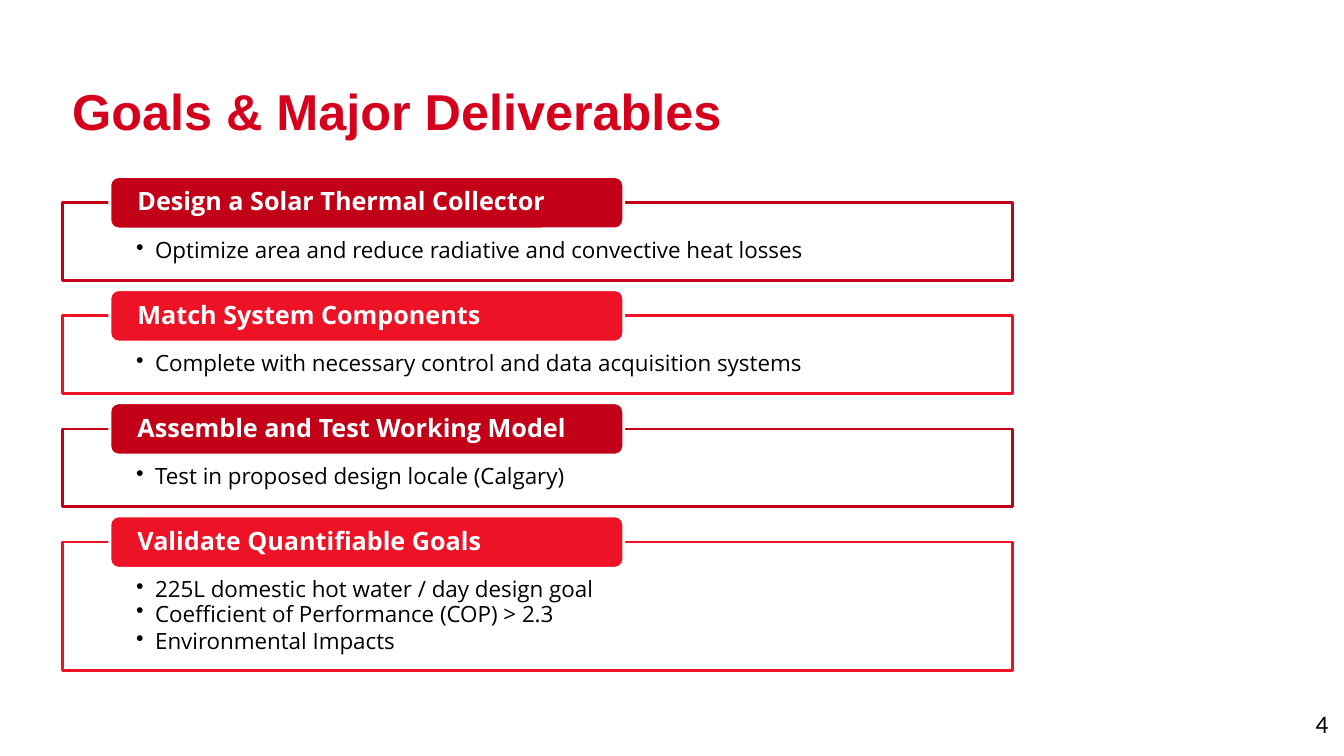
from dataclasses import dataclass

from lxml import etree
from pptx import Presentation
from pptx.dml.color import RGBColor
from pptx.enum.shapes import MSO_SHAPE
from pptx.enum.text import MSO_ANCHOR, MSO_AUTO_SIZE, PP_ALIGN
from pptx.oxml.ns import qn
from pptx.util import Cm, Pt

RECTANGLE = MSO_SHAPE.RECTANGLE
ROUNDED = MSO_SHAPE.ROUNDED_RECTANGLE
TOP, MIDDLE = MSO_ANCHOR.TOP, MSO_ANCHOR.MIDDLE
LEFT, RIGHT = PP_ALIGN.LEFT, PP_ALIGN.RIGHT
NO_AUTOFIT = MSO_AUTO_SIZE.NONE

TITLE = "Goals & Major Deliverables"
PAGE_NUMBER = "4"
GOALS = [
    ("Design a Solar Thermal Collector",
     ["Optimize area and reduce radiative and convective heat losses"]),
    ("Match System Components",
     ["Complete with necessary control and data acquisition systems"]),
    ("Assemble and Test Working Model",
     ["Test in proposed design locale (Calgary)"]),
    ("Validate Quantifiable Goals",
     ["225L domestic hot water / day design goal",
      "Coefficient of Performance (COP) > 2.3",
      "Environmental Impacts"]),
]


@dataclass(frozen=True)
class Theme:
    """Colours, fonts and type sizes of the slide."""
    title_red: str = "D6001C"
    goal_reds: tuple = ("C20018", "ED1226")
    white: str = "FFFFFF"
    black: str = "000000"
    title_font: str = "Arial"
    goal_font: str = "Open Sans"
    page_font: str = "Calibri"
    title_size: int = 36
    heading_size: int = 18
    detail_size: int = 16
    page_size: int = 18
    line_width: int = 2
    frame_alpha: int = 89000


THEME = Theme()
FRAME_LEFT, FRAME_TOP, FRAME_WIDTH = 1.57, 5.11, 23.95
FRAME_HEIGHT, EXTRA_LINE, FRAME_GAP = 1.95, 0.64, 0.9
HEADING_LEFT, HEADING_RISE = 2.77, 0.66
HEADING_WIDTH, HEADING_HEIGHT = 12.95, 1.32
BULLET_INDENT = Cm(0.48)


def set_frame(frame, anchor, left, top, right, bottom):
    """Set wrapping, anchor and insets of a text frame."""
    frame.word_wrap = True
    frame.auto_size = NO_AUTOFIT
    frame.vertical_anchor = anchor
    frame.margin_left, frame.margin_top = Cm(left), Cm(top)
    frame.margin_right, frame.margin_bottom = Cm(right), Cm(bottom)


def add_run(paragraph, text, font, size, color, bold=False):
    """Add one formatted run."""
    run = paragraph.add_run()
    run.text = text
    run.font.name, run.font.size, run.font.bold = font, Pt(size), bold
    run.font.color.rgb = RGBColor.from_string(color)


def add_bullet(paragraph):
    """Give a paragraph a hanging round bullet."""
    properties = paragraph._p.get_or_add_pPr()
    properties.set("marL", str(BULLET_INDENT))
    properties.set("indent", str(-BULLET_INDENT))
    color = etree.SubElement(properties, qn("a:buClr"))
    etree.SubElement(color, qn("a:srgbClr"), val=THEME.black)
    etree.SubElement(properties, qn("a:buChar"), char="•")


def add_panel(slide, preset, box, fill, line):
    """Add a filled and outlined shape without shadow."""
    panel = slide.shapes.add_shape(preset, *(Cm(length) for length in box))
    panel.shadow.inherit = False
    panel.fill.solid()
    panel.fill.fore_color.rgb = RGBColor.from_string(fill)
    panel.line.color.rgb = RGBColor.from_string(line)
    panel.line.width = Pt(THEME.line_width)
    return panel


def add_goal(slide, heading, details, top, height, red):
    """Add a framed list with its heading tab."""
    frame = add_panel(slide, RECTANGLE, (FRAME_LEFT, top, FRAME_WIDTH, height),
                      THEME.white, red)
    fill_color = frame.fill._xPr.find(qn("a:solidFill"))[0]
    etree.SubElement(fill_color, qn("a:alpha"), val=str(THEME.frame_alpha))
    set_frame(frame.text_frame, TOP, 1.86, 0.92, 1.86, 0.3)
    for index, detail in enumerate(details):
        paragraph = (frame.text_frame.add_paragraph() if index
                     else frame.text_frame.paragraphs[0])
        paragraph.alignment, paragraph.line_spacing = LEFT, 0.9
        paragraph.level = 1
        if index > 1:
            paragraph.space_before = Pt(2.4)
        add_bullet(paragraph)
        add_run(paragraph, detail, THEME.goal_font, THEME.detail_size, THEME.black)

    tab = add_panel(slide, ROUNDED,
                    (HEADING_LEFT, top - HEADING_RISE, HEADING_WIDTH, HEADING_HEIGHT),
                    red, THEME.white)
    set_frame(tab.text_frame, MIDDLE, 0.63, 0, 0.63, 0)
    paragraph = tab.text_frame.paragraphs[0]
    paragraph.alignment, paragraph.line_spacing = LEFT, 0.9
    add_run(paragraph, heading, THEME.goal_font, THEME.heading_size, THEME.white, True)


def main():
    """Build the goals slide."""
    deck = Presentation()
    deck.slide_width, deck.slide_height = Cm(33.87), Cm(19.05)
    slide = deck.slides.add_slide(deck.slide_layouts[5])

    title = slide.shapes.title
    title.left, title.top, title.width, title.height = Cm(1.57), Cm(1.3), Cm(27), Cm(2.87)
    set_frame(title.text_frame, MIDDLE, 0.25, 0.13, 0.25, 0.13)
    paragraph = title.text_frame.paragraphs[0]
    paragraph.alignment, paragraph.line_spacing = LEFT, 1.06
    add_run(paragraph, TITLE, THEME.title_font, THEME.title_size, THEME.title_red, True)

    top = FRAME_TOP
    for index, (heading, details) in enumerate(GOALS):
        height = FRAME_HEIGHT + EXTRA_LINE * (len(details) - 1)
        red = THEME.goal_reds[index % len(THEME.goal_reds)]
        add_goal(slide, heading, details, top, height, red)
        top += height + FRAME_GAP

    page = slide.shapes.add_textbox(Cm(31.7), Cm(17.6), Cm(2.03), Cm(1.45))
    set_frame(page.text_frame, TOP, 0.25, 0.25, 0.25, 0.25)
    paragraph = page.text_frame.paragraphs[0]
    paragraph.alignment = RIGHT
    add_run(paragraph, PAGE_NUMBER, THEME.page_font, THEME.page_size, THEME.black)

    deck.save("out.pptx")


if __name__ == "__main__":
    main()
